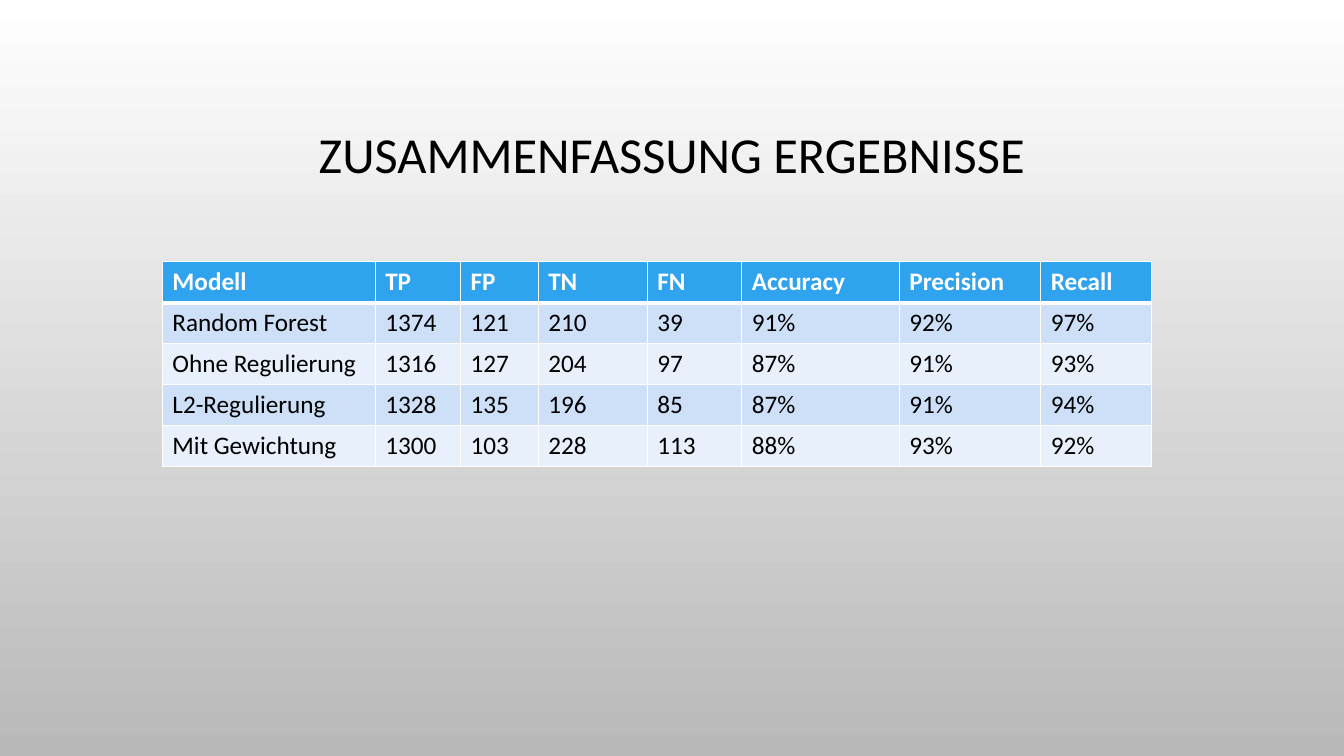
from lxml import etree
from pptx import Presentation
from pptx import util as u
from pptx.dml import color
from pptx.enum import text
from pptx.oxml import ns

FONT = "Calibri"
WIDTHS = [152, 61, 55.5, 78, 67.5, 112.5, 101, 79]
ROW_HEIGHT = 29.25
RESULTS = [
    ["Modell", "TP", "FP", "TN", "FN", "Accuracy", "Precision", "Recall"],
    ["Random Forest", "1374", "121", "210", "39", "91%", "92%", "97%"],
    ["Ohne Regulierung", "1316", "127", "204", "97", "87%", "91%", "93%"],
    ["L2-Regulierung", "1328", "135", "196", "85", "87%", "91%", "94%"],
    ["Mit Gewichtung", "1300", "103", "228", "113", "88%", "93%", "92%"],
]


def paint(target, value):
    """Give a fill or a font a solid hex colour."""
    if hasattr(target, "solid"):
        target.solid()
        target.fore_color.rgb = color.RGBColor.from_string(value)
    else:
        target.color.rgb = color.RGBColor.from_string(value)


def write(frame, words, size=18, ink="000000", bold=False,
          align=text.PP_ALIGN.LEFT, spacing=1.0):
    """Write one formatted paragraph into a text frame."""
    para = frame.paragraphs[0]
    para.alignment = align
    para.line_spacing = spacing
    span = para.add_run()
    span.text = words
    span.font.name = FONT
    span.font.size = u.Pt(size)
    span.font.bold = bold
    paint(span.font, ink)


def border(cell, side, width, value="FFFFFF"):
    """Draw one side of a cell's border."""
    line = etree.SubElement(cell._tc.get_or_add_tcPr(), ns.qn(f"a:ln{side}"),
                            w=str(u.Pt(width)))
    fill = etree.SubElement(line, ns.qn("a:solidFill"))
    etree.SubElement(fill, ns.qn("a:srgbClr"), val=value)


def add_background(page):
    """Shade the page from white down to grey."""
    fill = page.background.fill
    fill.gradient()
    fill.gradient_angle = 270
    for stop, value in zip(fill.gradient_stops, ["FFFFFF", "B9B9B9"]):
        stop.color.rgb = color.RGBColor.from_string(value)


def add_title(page, left, top, width, height):
    """Place the centred title."""
    box = page.shapes.title
    box.left, box.top = u.Pt(left), u.Pt(top)
    box.width, box.height = u.Pt(width), u.Pt(height)
    box.text_frame.vertical_anchor = text.MSO_ANCHOR.MIDDLE
    write(box.text_frame, "ZUSAMMENFASSUNG ERGEBNISSE", size=36,
          align=text.PP_ALIGN.CENTER, spacing=0.9)


def add_results(page, left, top):
    """Place the table of model results."""
    table = page.shapes.add_table(
        len(RESULTS), len(WIDTHS), u.Pt(left), u.Pt(top),
        u.Pt(sum(WIDTHS)), u.Pt(ROW_HEIGHT * len(RESULTS))).table
    for column, width in zip(table.columns, WIDTHS):
        column.width = u.Pt(width)
    for index, values in enumerate(RESULTS):
        header = index == 0
        shade = "2FA3EE" if header else ["E8F0FC", "CDE0F8"][index % 2]
        table.rows[index].height = u.Pt(ROW_HEIGHT)
        for cell, value in zip(table.rows[index].cells, values):
            border(cell, "L", 1)
            border(cell, "R", 1)
            border(cell, "T", 3 if index == 1 else 1)
            border(cell, "B", 3 if header else 1)
            paint(cell.fill, shade)
            write(cell.text_frame, value, bold=header,
                  ink="FFFFFF" if header else "000000")


def main():
    """Build and save the deck."""
    deck = Presentation()
    deck.slide_width, deck.slide_height = u.Pt(960), u.Pt(540)
    page = deck.slides.add_slide(deck.slide_layouts.get_by_name("Title Only"))
    add_background(page)
    add_title(page, 72, 49, 816, 126)
    add_results(page, 116, 187)
    deck.save("out.pptx")


if __name__ == "__main__":
    main()
